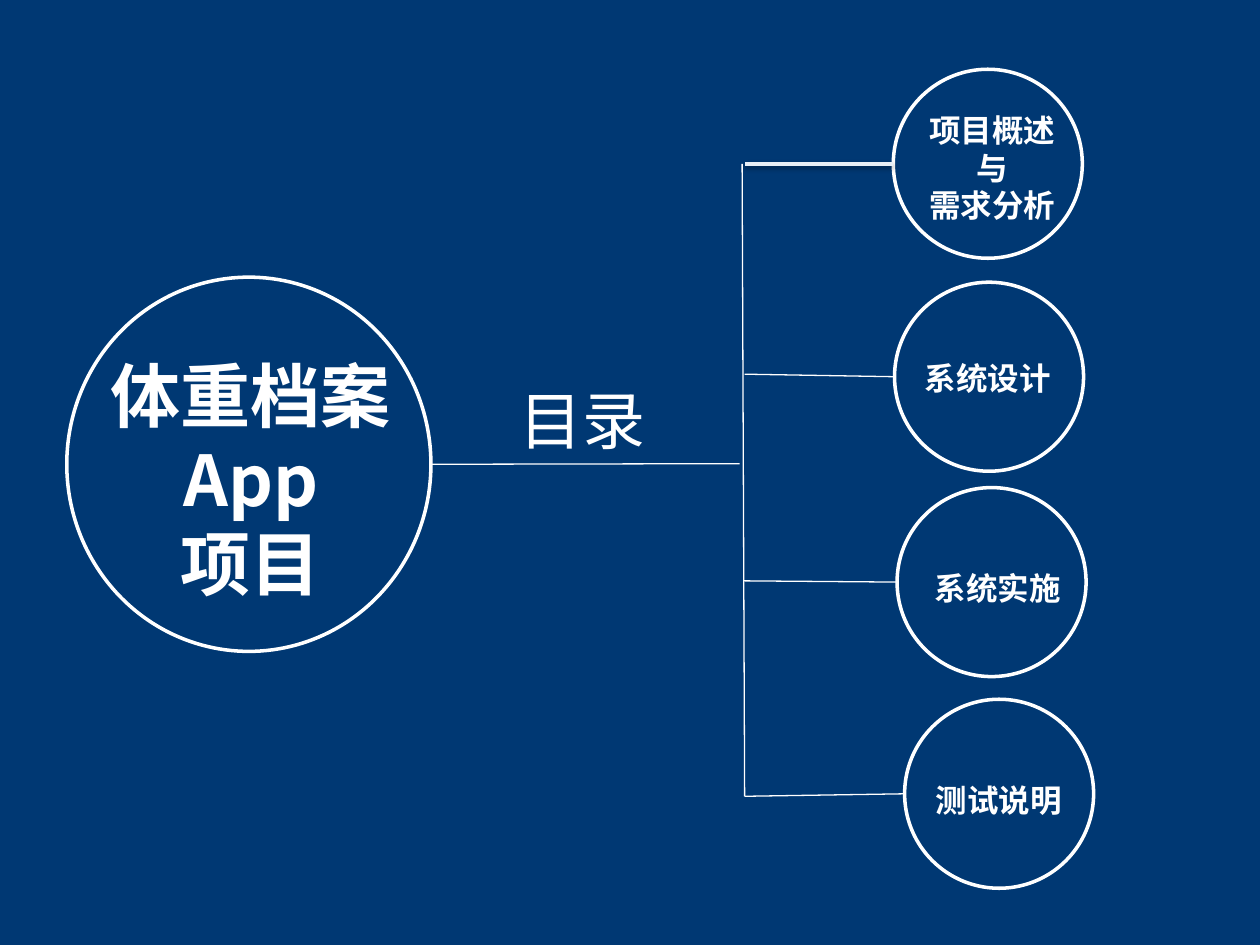
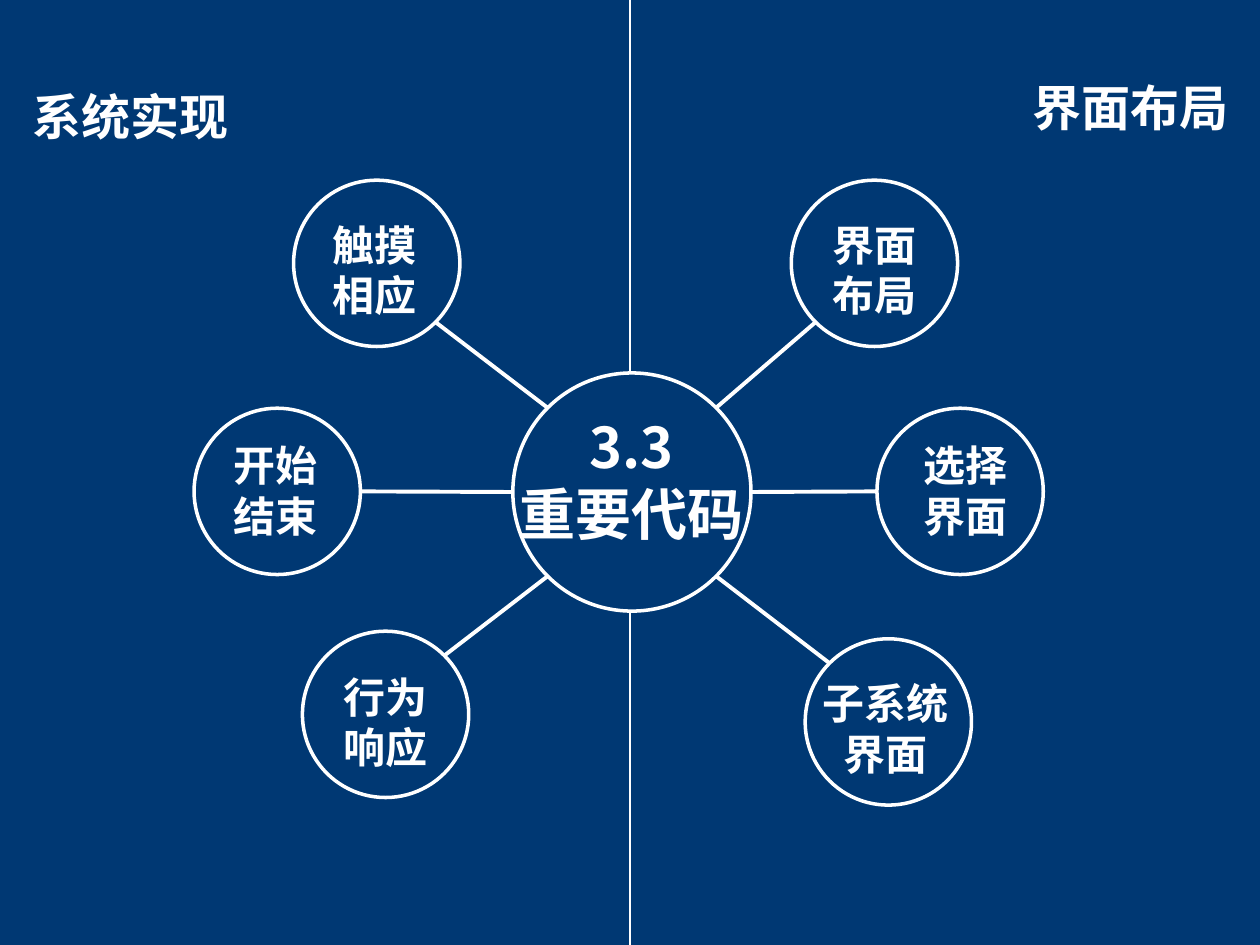
from dataclasses import dataclass
from math import cos, radians, sin

from lxml.etree import SubElement
from pptx import Presentation
from pptx.dml.color import RGBColor
from pptx.enum.shapes import MSO_CONNECTOR, MSO_SHAPE
from pptx.enum.text import MSO_ANCHOR, MSO_AUTO_SIZE, PP_ALIGN
from pptx.oxml.ns import qn
from pptx.util import Inches, Pt

NAVY = "003873"
WHITE = "FFFFFF"
PALE = "E7EFF7"
BOLD_FONT = "Noto Sans CJK SC"
LIGHT_FONT = "League Spartan"
TITLE_ONLY = 5


@dataclass(frozen=True)
class Area:
    left: float
    top: float
    width: float
    height: float

    def rim(self, degrees: float) -> tuple[float, float]:
        """Point on the inscribed ellipse, clockwise from the right."""
        angle = radians(degrees)
        return (self.left + self.width / 2 * (1 + cos(angle)),
                self.top + self.height / 2 * (1 + sin(angle)))

    def lengths(self):
        return [Inches(n) for n in (self.left, self.top, self.width, self.height)]


@dataclass(frozen=True)
class Label:
    area: Area
    lines: tuple[str, ...]
    size: float
    wrap: bool = True
    align: PP_ALIGN = PP_ALIGN.CENTER
    font: str = BOLD_FONT
    bold: bool = True


@dataclass(frozen=True)
class Topic:
    circle: Area
    label: Label
    joint: tuple[float, float]


@dataclass(frozen=True)
class Node:
    circle: Area
    label: Label
    angle: float


def colour(value: str) -> RGBColor:
    return RGBColor.from_string(value)


def new_page(deck):
    page = deck.slides.add_slide(deck.slide_layouts[TITLE_ONLY])
    page.background.fill.solid()
    page.background.fill.fore_color.rgb = colour(NAVY)
    return page


def write(box, label: Label) -> None:
    frame = box.text_frame
    frame.text = "\n".join(label.lines)
    frame.word_wrap = label.wrap
    frame.auto_size = MSO_AUTO_SIZE.NONE
    frame.vertical_anchor = MSO_ANCHOR.TOP
    for para in frame.paragraphs:
        para.alignment = label.align
        font = para.font
        font.name = label.font
        font.size = Pt(label.size)
        font.bold = label.bold
        font.color.rgb = colour(WHITE)
        SubElement(font._rPr, qn("a:ea"), typeface=label.font)


def add_label(page, label: Label) -> None:
    write(page.shapes.add_textbox(*label.area.lengths()), label)


def place_title(page, label: Label) -> None:
    """Fill the title placeholder and bring it to the front."""
    title = page.shapes.title
    title.left, title.top, title.width, title.height = label.area.lengths()
    write(title, label)
    page.shapes.element.append(title.element)


def add_circle(page, area: Area) -> None:
    circle = page.shapes.add_shape(MSO_SHAPE.OVAL, *area.lengths())
    circle.shadow.inherit = False
    circle.fill.solid()
    circle.fill.fore_color.rgb = colour(NAVY)
    circle.line.color.rgb = colour(WHITE)
    circle.line.width = Pt(2)


def add_line(page, start: tuple[float, float], end: tuple[float, float],
             width: float = 0.75, line_colour: str = WHITE):
    """Draw a straight line and return its effect list."""
    points = [Inches(n) for n in (*start, *end)]
    line = page.shapes.add_connector(MSO_CONNECTOR.STRAIGHT, *points)
    line.line.color.rgb = colour(line_colour)
    line.line.width = Pt(width)
    return SubElement(line.element.spPr, qn("a:effectLst"))


def add_shadow(effects) -> None:
    shadow = SubElement(effects, qn("a:outerShdw"), blurRad=str(Pt(3.1)),
                        dist=str(Pt(1.6)), dir="5400000", rotWithShape="0")
    tint = SubElement(shadow, qn("a:srgbClr"), val="000000")
    SubElement(tint, qn("a:alpha"), val="38000")


def topic(left: float, top: float, label_area: Area, joint: tuple[float, float],
          *lines: str) -> Topic:
    return Topic(Area(left, top, 1.5, 1.5), Label(label_area, lines, 18), joint)


def node(left: float, top: float, angle: float, label_left: float,
         label_top: float, label_width: float, *lines: str) -> Node:
    area = Area(label_left, label_top, label_width, 0.91)
    return Node(Area(left, top, 1.32, 1.32), Label(area, lines, 24, wrap=False), angle)


PROJECT = Area(0.53, 2.2, 2.89, 2.97)
PROJECT_LABEL = Label(Area(0.77, 2.75, 2.44, 2.12), ("体重档案App", "项目"), 40)
CONTENTS_TITLE = Label(Area(4.02, 2.98, 1.4, 0.71), ("目录",), 36,
                       align=PP_ALIGN.LEFT, font=LIGHT_FONT, bold=False)
SPINE_TOP, SPINE_BOTTOM = (5.89, 1.3), (5.91, 6.32)
FIRST_TOPIC = topic(7.09, 0.55, Area(7.21, 0.83, 1.33, 1.01), (5.91, 1.3),
                    "项目概述与", "需求分析")
OTHER_TOPICS = [
    topic(7.1, 2.24, Area(7.17, 2.8, 1.34, 0.4), (5.91, 2.97), "系统设计"),
    topic(7.12, 3.87, Area(7.28, 4.47, 1.28, 0.4), (5.9, 4.61), "系统实施"),
    topic(7.18, 5.55, Area(7.28, 6.15, 1.29, 0.4), SPINE_BOTTOM, "测试说明"),
]

HUB = Area(4.07, 2.96, 1.89, 1.89)
CODE_TITLE = Label(Area(3.07, 3.22, 3.88, 1.18), ("3.3", "重要代码"), 32)
NODES = [
    node(6.28, 1.43, -45, 6.5, 1.69, 0.88, "界面", "布局"),
    node(6.96, 3.24, 0, 7.22, 3.44, 0.88, "选择", "界面"),
    node(6.39, 5.07, 45, 6.42, 5.33, 1.21, "子系统", "界面"),
    node(2.4, 5.01, 135, 2.62, 5.28, 0.88, "行为", "响应"),
    node(1.54, 3.24, 180, 1.75, 3.44, 0.88, "开始", "结束"),
    node(2.33, 1.43, 225, 2.53, 1.69, 0.88, "触摸", "相应"),
]
SIDE_HEADINGS = [
    Label(Area(0.16, 0.64, 1.77, 0.57), ("系统实现",), 28, False, PP_ALIGN.LEFT),
    Label(Area(8.1, 0.57, 1.77, 0.57), ("界面布局",), 28, False, PP_ALIGN.LEFT),
]


def build_contents(deck) -> None:
    page = new_page(deck)
    add_circle(page, PROJECT)
    add_label(page, PROJECT_LABEL)
    for item in (FIRST_TOPIC, *OTHER_TOPICS):
        add_circle(page, item.circle)
        add_label(page, item.label)
    add_shadow(add_line(page, FIRST_TOPIC.circle.rim(180), FIRST_TOPIC.joint, 2, PALE))
    add_line(page, SPINE_TOP, SPINE_BOTTOM)
    for item in OTHER_TOPICS:
        add_line(page, item.circle.rim(180), item.joint)
    add_line(page, PROJECT.rim(0), (5.87, 3.68))
    place_title(page, CONTENTS_TITLE)


def build_code_map(deck) -> None:
    page = new_page(deck)
    add_line(page, (5, 0), (5, 7.5))
    add_circle(page, HUB)
    for item in NODES:
        add_circle(page, item.circle)
        add_label(page, item.label)
        add_line(page, HUB.rim(item.angle), item.circle.rim(item.angle + 180), 2.25)
    for heading in SIDE_HEADINGS:
        add_label(page, heading)
    place_title(page, CODE_TITLE)


def main() -> None:
    deck = Presentation()
    deck.slide_width, deck.slide_height = Inches(10), Inches(7.5)
    build_contents(deck)
    build_code_map(deck)
    deck.save("out.pptx")


if __name__ == "__main__":
    main()
